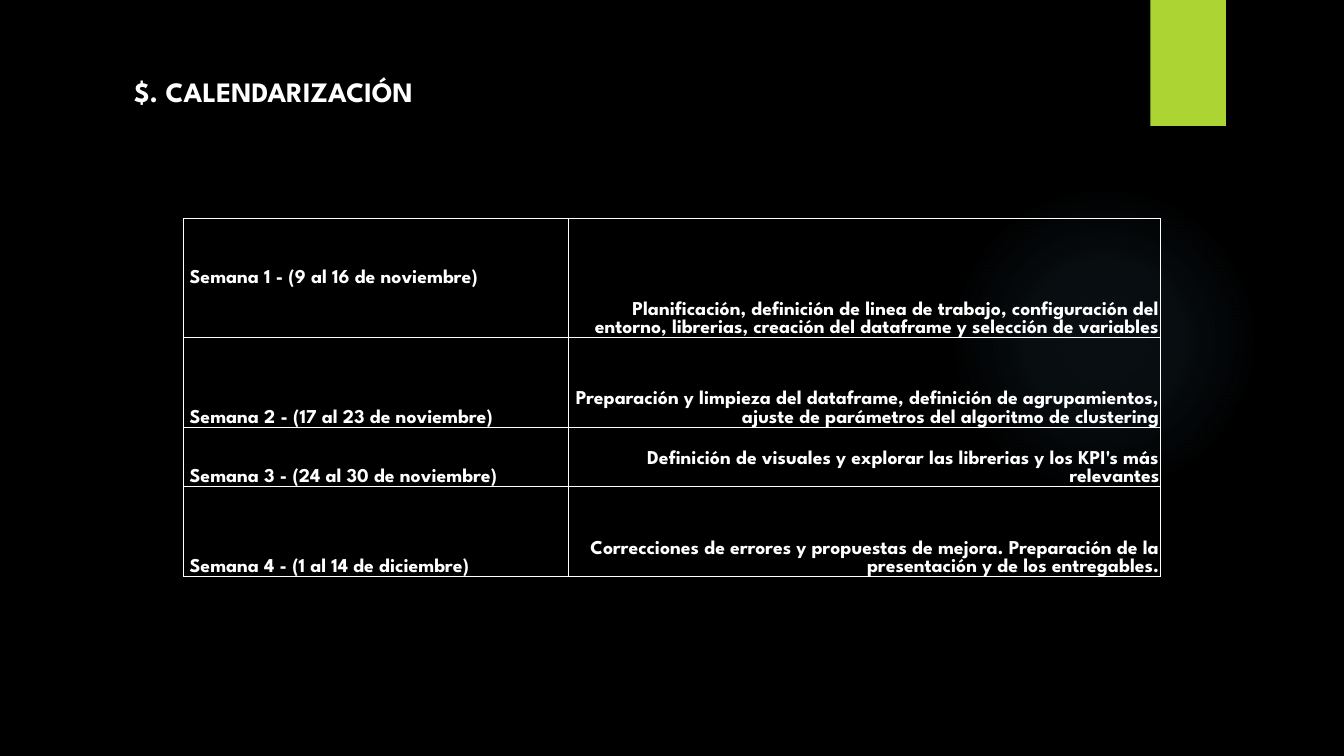
from lxml import etree
from pptx import Presentation
from pptx.dml.color import RGBColor
from pptx.enum.shapes import MSO_SHAPE
from pptx.enum.text import MSO_ANCHOR, MSO_AUTO_SIZE, PP_ALIGN
from pptx.oxml.ns import qn
from pptx.util import Inches, Pt

LEFT, RIGHT = PP_ALIGN.LEFT, PP_ALIGN.RIGHT
MIDDLE, BOTTOM = MSO_ANCHOR.MIDDLE, MSO_ANCHOR.BOTTOM
FIT_SHAPE = MSO_AUTO_SIZE.SHAPE_TO_FIT_TEXT
ELLIPSE, RECTANGLE = MSO_SHAPE.OVAL, MSO_SHAPE.RECTANGLE
TITLE_ONLY = 5

BLACK, WHITE, LIME, SKY = "000000", "FFFFFF", "ACD433", "7AC4F0"


def rgb(color):
    return RGBColor.from_string(color)


def add_color(parent, color, alpha=100):
    node = etree.SubElement(parent, qn("a:srgbClr"), val=color)
    if alpha < 100:
        etree.SubElement(node, qn("a:alpha"), val=str(alpha * 1000))


class SlideBuilder:
    font = "League Spartan"
    text_color = WHITE

    def __init__(self, slide, background):
        self.slide = slide
        slide.background.fill.solid()
        slide.background.fill.fore_color.rgb = rgb(background)

    def add_text(self, frame, text, size, align):
        paragraph = frame.paragraphs[0]
        paragraph.alignment = align
        run = paragraph.add_run()
        run.text = text
        run.font.name = self.font
        run.font.size = Pt(size)
        run.font.bold = True
        run.font.color.rgb = rgb(self.text_color)

    def title(self, text, box, size):
        heading = self.slide.shapes.title
        heading.left, heading.top, heading.width, heading.height = map(Inches, box)
        frame = heading.text_frame
        frame.word_wrap = False
        frame.auto_size = FIT_SHAPE
        frame.vertical_anchor = MIDDLE
        self.add_text(frame, text, size, LEFT)

    def shape(self, preset, box):
        shape = self.slide.shapes.add_shape(preset, *map(Inches, box))
        shape.shadow.inherit = False
        shape.line.fill.background()
        return shape

    def block(self, box, color):
        block = self.shape(RECTANGLE, box)
        block.fill.solid()
        block.fill.fore_color.rgb = rgb(color)

    def glow(self, box, color, stops):
        """Radial gradient; stops are (position, opacity) in percent."""
        glow = self.shape(ELLIPSE, box)
        gradient = etree.Element(qn("a:gradFill"), rotWithShape="1")
        stop_list = etree.SubElement(gradient, qn("a:gsLst"))
        for position, alpha in stops:
            stop = etree.SubElement(stop_list, qn("a:gs"), pos=str(position * 1000))
            add_color(stop, color, alpha)
        radial = etree.SubElement(gradient, qn("a:path"), {"path": "circle"})
        center = dict.fromkeys("ltrb", "50000")
        etree.SubElement(radial, qn("a:fillToRect"), center)
        glow.element.spPr.find(qn("a:prstGeom")).addnext(gradient)

    def border(self, cell, color, width):
        properties = cell._tc.get_or_add_tcPr()
        for index, side in enumerate(("lnL", "lnR", "lnT", "lnB")):
            line = etree.Element(qn(f"a:{side}"), w=str(Pt(width)))
            add_color(etree.SubElement(line, qn("a:solidFill")), color)
            properties.insert(index, line)

    def cell(self, cell, text, size, align, anchor, indent):
        cell.fill.background()
        cell.margin_left = Inches(indent)
        cell.margin_right = cell.margin_top = Inches(0.01)
        cell.margin_bottom = 0
        cell.vertical_anchor = anchor
        self.add_text(cell.text_frame, text, size, align)
        self.border(cell, WHITE, 1)

    def schedule(self, weeks, left, top, widths, heights, size):
        frame = self.slide.shapes.add_table(
            len(weeks), len(widths), Inches(left), Inches(top),
            Inches(sum(widths)), Inches(sum(heights)))
        table = frame.table
        table.first_row = table.horz_banding = False
        for column, width in zip(table.columns, widths):
            column.width = Inches(width)
        for row, height in zip(table.rows, heights):
            row.height = Inches(height)
        for index, (week, tasks) in enumerate(weeks):
            week_anchor = MIDDLE if index == 0 else BOTTOM
            self.cell(table.cell(index, 0), week, size, LEFT, week_anchor, 0.06)
            self.cell(table.cell(index, 1), tasks, size, RIGHT, BOTTOM, 0.01)


WEEKS = [
    ("Semana 1 - (9 al 16 de noviembre)",
     "Planificación, definición de linea de trabajo, configuración del entorno, "
     "librerias, creación del dataframe y selección de variables"),
    ("Semana 2 - (17 al 23 de noviembre)",
     "Preparación y limpieza del dataframe, definición de agrupamientos, "
     "ajuste de parámetros del algoritmo de clustering"),
    ("Semana 3 - (24 al 30 de noviembre)",
     "Definición de visuales y explorar las librerias y los KPI's más relevantes"),
    ("Semana 4 - (1 al 14 de diciembre)",
     "Correcciones de errores y propuestas de mejora. Preparación de la "
     "presentación y de los entregables."),
]

presentation = Presentation()
presentation.slide_width, presentation.slide_height = Inches(13.33), Inches(7.5)
layout = presentation.slide_layouts[TITLE_ONLY]
calendar = SlideBuilder(presentation.slides.add_slide(layout), BLACK)

# Backdrop
calendar.glow((9.41, 1.83, 3.08, 3.08), SKY, [(0, 7), (36, 6), (69, 0)])
calendar.block((11.41, 0, 0.75, 1.25), LIME)

# Heading
calendar.title("$. CALENDARIZACIÓN", (1.23, 0.69, 3.15, 0.44), 20)

# Weekly schedule
calendar.schedule(WEEKS, 1.82, 2.17, (3.82, 5.87), (1.18, 0.89, 0.59, 0.89), 14)

presentation.save("out.pptx")
